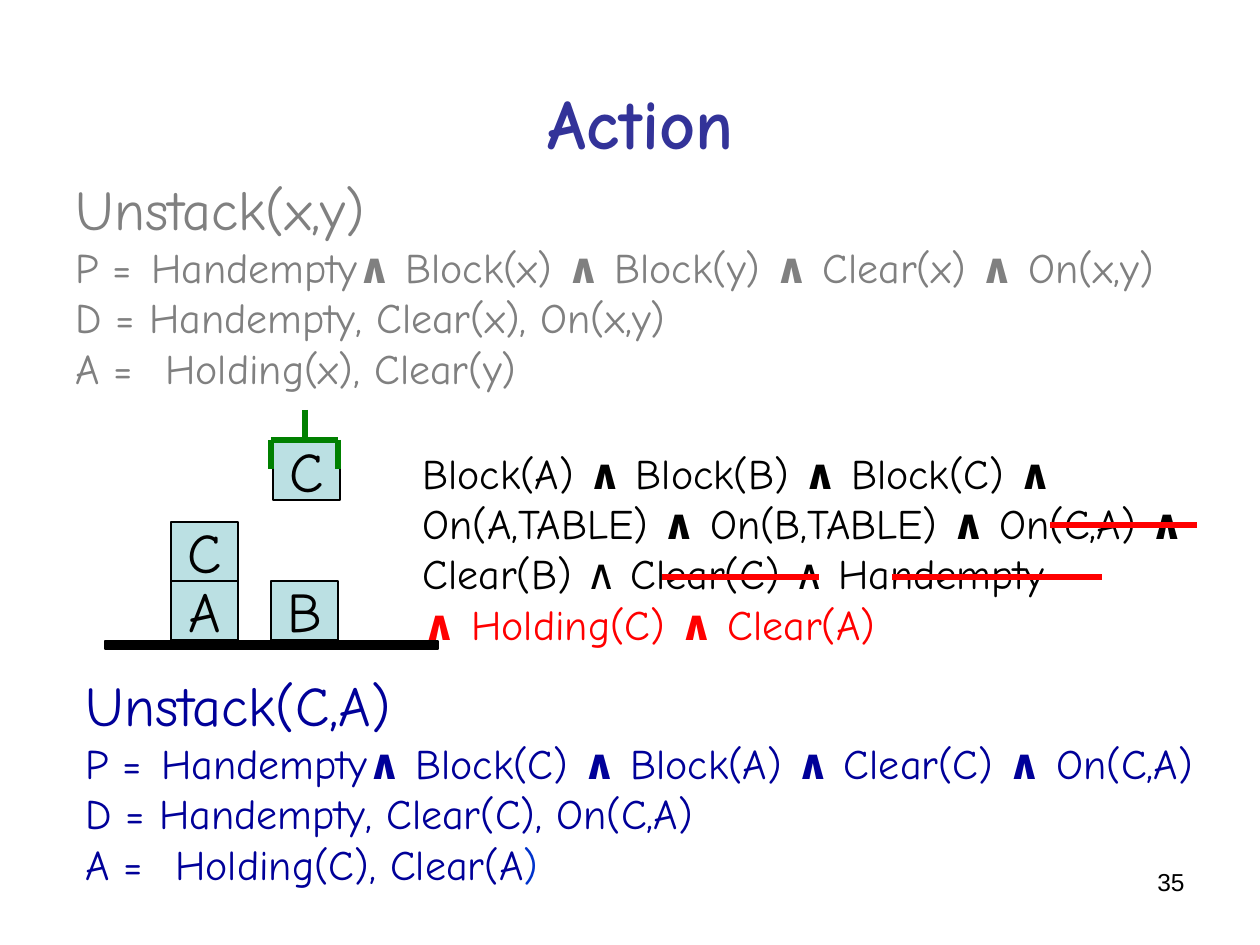
"""Build the blocks-world slide that explains the Unstack action."""
from lxml import etree
from pptx import Presentation
from pptx.dml.color import RGBColor
from pptx.enum import shapes, text
from pptx.oxml import ns
from pptx.util import Pt

PX = 914400 / 126
COLORS = {"black": "000000", "title": "333399", "gray": "808080", "navy": "000099",
          "blue": "0033CC", "red": "FF0000", "green": "008000", "block": "BBE0E3"}
FONT = "Comic Neue"
TAB = 76


def emu(*lengths):
    return [round(length * PX) for length in lengths]


def write(frame, lines, align=text.PP_ALIGN.LEFT, font=FONT):
    for index, (words, size, color) in enumerate(lines):
        paragraph = frame.paragraphs[0] if index == 0 else frame.add_paragraph()
        paragraph.alignment = align
        paragraph.font.name = font
        paragraph.font.size = Pt(size)
        paragraph.font.color.rgb = RGBColor.from_string(COLORS[color])
        for position, part in enumerate(words.split("*")):
            if part:
                run = paragraph.add_run()
                run.text = part
                run.font.bold = position % 2 == 1
        if "\t" in words:
            tabs = etree.SubElement(paragraph._p.get_or_add_pPr(), ns.qn("a:tabLst"))
            etree.SubElement(tabs, ns.qn("a:tab"), pos=str(emu(TAB)[0]), algn="l")
            paragraph._p.pPr.find(ns.qn("a:defRPr")).addprevious(tabs)


presentation = Presentation()
presentation.slide_width, presentation.slide_height = emu(1260, 945)
slide = presentation.slides.add_slide(presentation.slide_layouts[6])

number = slide.shapes.add_textbox(*emu(903, 861, 294, 66)).text_frame
write(number, [("35", 14, "black")], text.PP_ALIGN.RIGHT, "Arial")

title = slide.shapes.add_textbox(*emu(84, 42, 1113, 158)).text_frame
title.word_wrap = True
title.vertical_anchor = text.MSO_ANCHOR.MIDDLE
write(title, [("*Action*", 40, "title")], text.PP_ALIGN.CENTER)

state = [("Block(A) *∧* Block(B) *∧* Block(C) *∧ *On(A,TABLE) *∧* On(B,TABLE) *∧* On(C,A) *∧*"
          " Clear(B) ∧ Clear(C) ∧ Handempty", 24, "black"),
         ("*∧ *Holding(C) *∧* Clear(A)", 24, "red")]
actions = []
for x, y, color in (("x", "y", "gray"), ("C", "A", "navy")):
    actions.append([
        (f"Unstack({x},{y})", 32, color),
        (f"P = \tHandempty*∧* Block({x}) *∧* Block({y}) *∧* Clear({x}) *∧ *On({x},{y})", 24, color),
        (f"D = Handempty, Clear({x}), On({x},{y})", 24, color),
        (f"A = \t Holding({x}), Clear({y})", 24, color)])

for box, lines in (((63, 168, 1155, 231), actions[0]),
                   ((410, 441, 819, 214), state),
                   ((73, 664, 1187, 231), actions[1])):
    frame = slide.shapes.add_textbox(*emu(*box)).text_frame
    frame.word_wrap = True
    write(frame, lines)

last_run = frame.paragraphs[-1].runs[-1]
last_run.text = last_run.text[:-1]
bracket = frame.paragraphs[-1].add_run()
bracket.text = ")"
bracket.font.color.rgb = RGBColor.from_string(COLORS["blue"])

for label, box, fill in (("C", (273, 441, 67, 59), "block"),
                         ("C", (171, 522, 67, 59), "block"),
                         ("", (105, 641, 333, 8), "black"),
                         ("A", (171, 581, 67, 59), "block"),
                         ("B", (271, 581, 67, 59), "block")):
    shape = slide.shapes.add_shape(shapes.MSO_SHAPE.RECTANGLE, *emu(*box))
    shape.shadow.inherit = False
    shape.fill.solid()
    shape.fill.fore_color.rgb = RGBColor.from_string(COLORS[fill])
    shape.line.color.rgb = RGBColor.from_string(COLORS["black"])
    shape.line.width = Pt(0.75)
    if label:
        shape.text_frame.word_wrap = False
        shape.text_frame.vertical_anchor = text.MSO_ANCHOR.MIDDLE
        write(shape.text_frame, [(label, 32, "black")], text.PP_ALIGN.CENTER)

strikes = [(892, 577, 1102, 577), (662, 577, 819, 577), (1050, 525, 1197, 525)]
claw = [(271, 440, 338, 440), (271, 440, 271, 469), (305, 410, 305, 440), (338, 440, 338, 469)]
for color, segments in (("red", strikes), ("green", claw)):
    for segment in segments:
        line = slide.shapes.add_connector(shapes.MSO_CONNECTOR.STRAIGHT, *emu(*segment))
        line.line.color.rgb = RGBColor.from_string(COLORS[color])
        line.line.width = Pt(3)
        etree.SubElement(line._element.spPr, ns.qn("a:effectLst"))

presentation.save("out.pptx")
